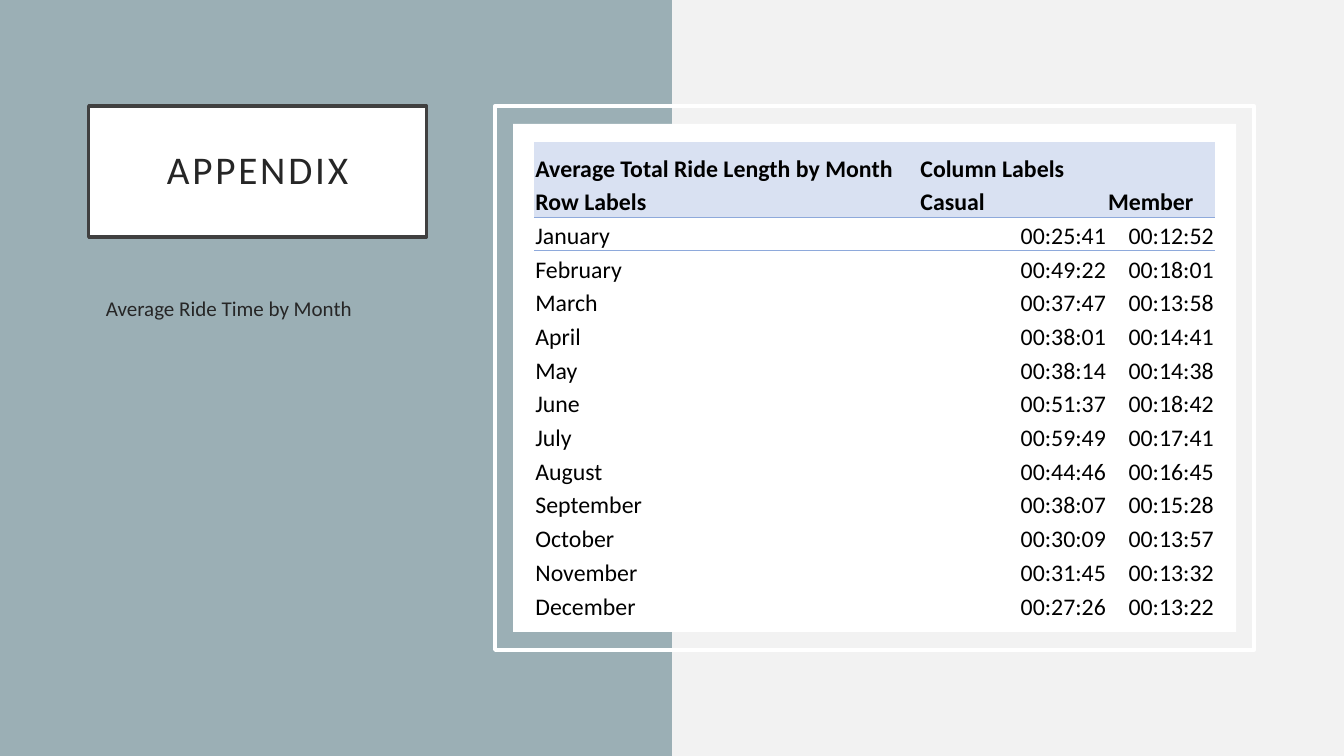
from dataclasses import dataclass
from lxml import etree
from pptx import Presentation, util as u
from pptx.dml.color import RGBColor
from pptx.enum import shapes, text
from pptx.oxml import ns

W, H = 13.33, 7.5


@dataclass(frozen=True)
class Theme:
    font: str = "Calibri"
    back: str = "F2F2F2"
    teal: str = "9BAFB5"
    white: str = "FFFFFF"
    edge: str = "404040"
    ink: str = "262626"
    black: str = "000000"
    head: str = "D9E1F2"
    rule: str = "8EA9DB"
    title: float = 28
    body: float = 15
    cell: float = 17
    line: float = 2.5


T = Theme()
ALIGN = text.PP_ALIGN
ANCHOR = text.MSO_ANCHOR

RIDES = [
    ("January", "00:25:41", "00:12:52"),
    ("February", "00:49:22", "00:18:01"),
    ("March", "00:37:47", "00:13:58"),
    ("April", "00:38:01", "00:14:41"),
    ("May", "00:38:14", "00:14:38"),
    ("June", "00:51:37", "00:18:42"),
    ("July", "00:59:49", "00:17:41"),
    ("August", "00:44:46", "00:16:45"),
    ("September", "00:38:07", "00:15:28"),
    ("October", "00:30:09", "00:13:57"),
    ("November", "00:31:45", "00:13:32"),
    ("December", "00:27:26", "00:13:22"),
]
HEADS = [
    ("Average Total Ride Length by Month", "Column Labels", ""),
    ("Row Labels", "Casual", "Member"),
]


def rgb(code):
    return RGBColor.from_string(code)


def inches(box):
    return [u.Inches(v) for v in box]


def inset(box, gap):
    x, y, w, h = box
    return x + gap, y + gap, w - 2 * gap, h - 2 * gap


def write(frame, words, size, color=T.ink, bold=False, align=ALIGN.LEFT,
          space=None, lines=None):
    """Put one formatted run into a text frame."""
    para = frame.paragraphs[0]
    para.alignment = align
    if lines:
        para.line_spacing = lines
    run = para.add_run()
    run.text = words
    font = run.font
    font.name, font.size, font.bold = T.font, u.Pt(size), bold
    font.color.rgb = rgb(color)
    if space:
        run._r.get_or_add_rPr().set("spc", str(space * 100))


def rect(slide, box, fill=None, line=None):
    shape = slide.shapes.add_shape(shapes.MSO_SHAPE.RECTANGLE, *inches(box))
    shape.shadow.inherit = False
    if fill:
        shape.fill.solid()
        shape.fill.fore_color.rgb = rgb(fill)
    else:
        shape.fill.background()
    if line:
        shape.line.color.rgb = rgb(line)
        shape.line.width = u.Pt(T.line)
    else:
        shape.line.fill.background()
    return shape


def border(cell, side):
    """Draw a thin rule on one side of a cell; side is lnT or lnB."""
    line = etree.Element(ns.qn(f"a:{side}"), w=str(u.Pt(0.5)))
    fill = etree.SubElement(line, ns.qn("a:solidFill"))
    etree.SubElement(fill, ns.qn("a:srgbClr"), val=T.rule)
    cell._tc.get_or_add_tcPr().insert(0, line)


def intro(slide, box):
    """Title card with the caption below it."""
    x, y, w, h = box
    card = rect(slide, (x, y, w, 1.3), T.white, T.edge)
    frame = card.text_frame
    frame.word_wrap = True
    frame.vertical_anchor = ANCHOR.MIDDLE
    frame.margin_left = frame.margin_right = u.Inches(0.2)
    frame.margin_top = frame.margin_bottom = u.Inches(0.2)
    write(frame, "APPENDIX", T.title, align=ALIGN.CENTER, space=2, lines=0.9)

    top = 1.83
    note = slide.shapes.add_textbox(*inches((x, y + top, w, h - top)))
    note.text_frame.word_wrap = True
    note.text_frame.margin_left = u.Inches(0.17)
    write(note.text_frame, "Average Ride Time by Month", T.body)


def grid(slide, box):
    """Ride times: two header rows, then one row per month."""
    rows = HEADS + RIDES
    top, cols = 0.41, (3.82, 1.86, 1.07)
    step = (box[3] - top) / (len(rows) - 1)
    holder = slide.shapes.add_table(len(rows), len(cols), *inches(box))
    table = holder.table
    # Plain style: no grid, no bands
    table._tbl.tblPr.find(ns.qn("a:tableStyleId")).text = (
        "{2D5ABB26-0587-4C30-8999-92F81FD0307C}")
    table.first_row = table.horz_banding = False
    for col, width in zip(table.columns, cols):
        col.width = u.Inches(width)
    for r, row in enumerate(rows):
        table.rows[r].height = u.Inches(step if r else top)
        head = r < len(HEADS)
        for c, words in enumerate(row):
            cell = table.cell(r, c)
            cell.margin_left = cell.margin_right = u.Inches(0.01)
            cell.margin_top, cell.margin_bottom = u.Inches(0.01), 0
            cell.vertical_anchor = ANCHOR.BOTTOM
            if head:
                cell.fill.solid()
                cell.fill.fore_color.rgb = rgb(T.head)
            else:
                cell.fill.background()
            if r == len(HEADS) - 1:
                border(cell, "lnB")
            elif r == len(HEADS):
                border(cell, "lnT")
            if words:
                side = ALIGN.RIGHT if c and not head else ALIGN.LEFT
                write(cell.text_frame, words, T.cell, T.black, head, side)


def panel(slide, box):
    """Outlined frame, white card and the table on it."""
    x, y, w, h = box
    rect(slide, box, line=T.white)
    rect(slide, inset(box, 0.18), T.white)
    grid(slide, (x + 0.39, y + 0.36, 6.75, 4.76))


def main():
    deck = Presentation()
    deck.slide_width, deck.slide_height = u.Inches(W), u.Inches(H)
    slide = deck.slides.add_slide(deck.slide_layouts[6])
    slide.background.fill.solid()
    slide.background.fill.fore_color.rgb = rgb(T.back)

    # Left half of the backdrop
    rect(slide, (0, 0, W / 2, H), T.teal)

    top, tall = H * 0.14, H * 0.72
    intro(slide, (0.88, top, 3.35, tall))
    panel(slide, (4.91, top, 7.53, tall))
    deck.save("out.pptx")


if __name__ == "__main__":
    main()
